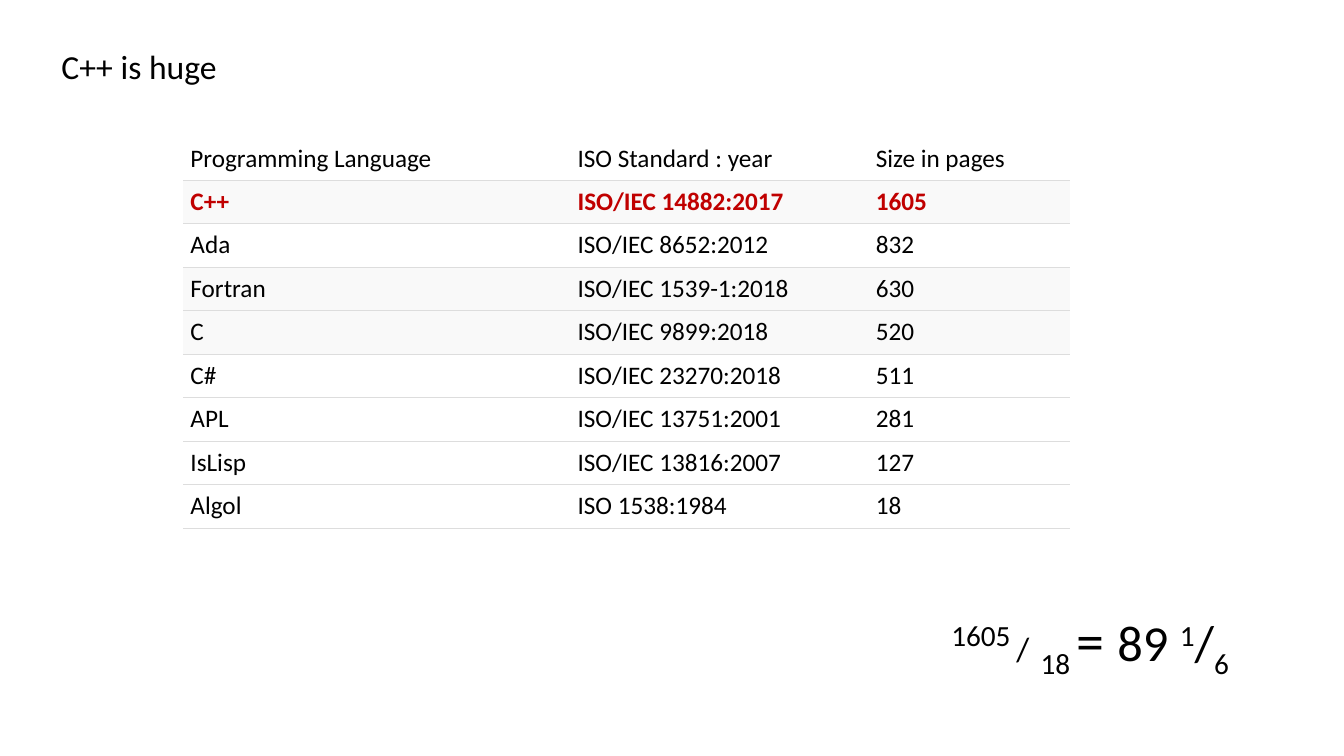
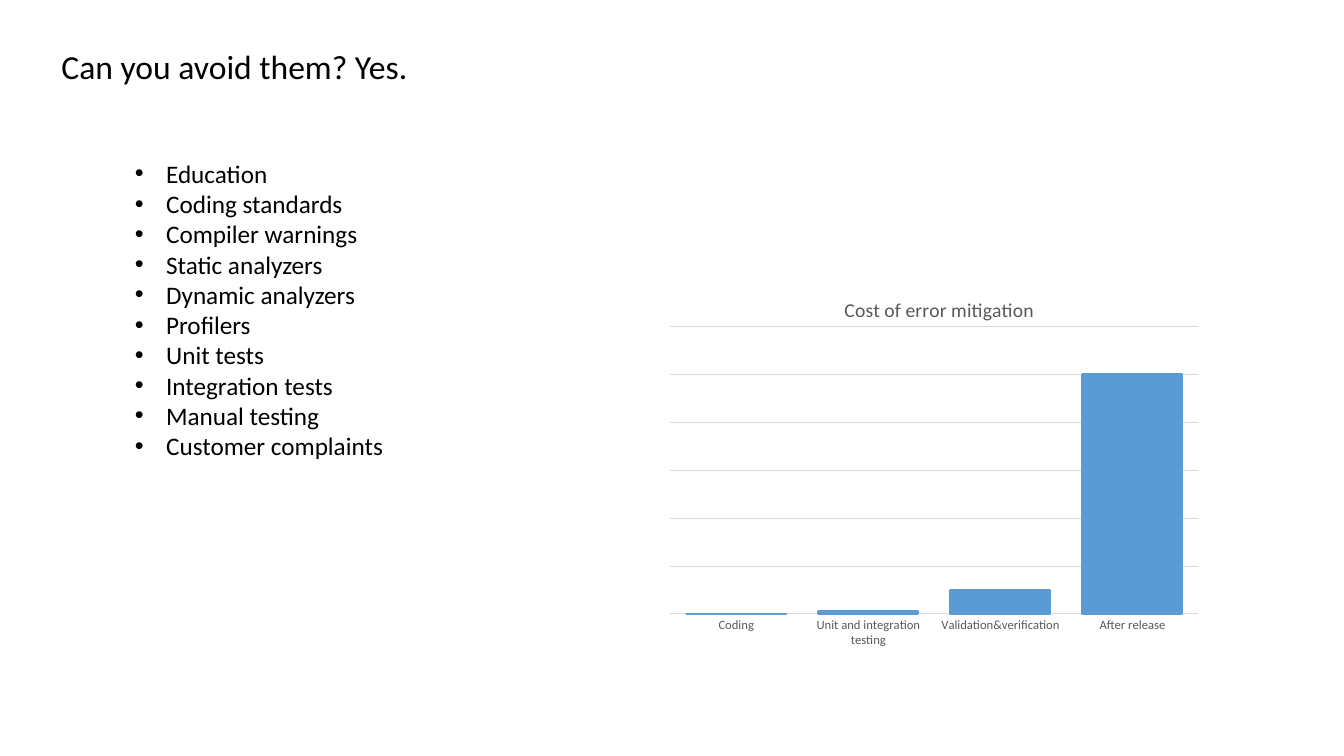
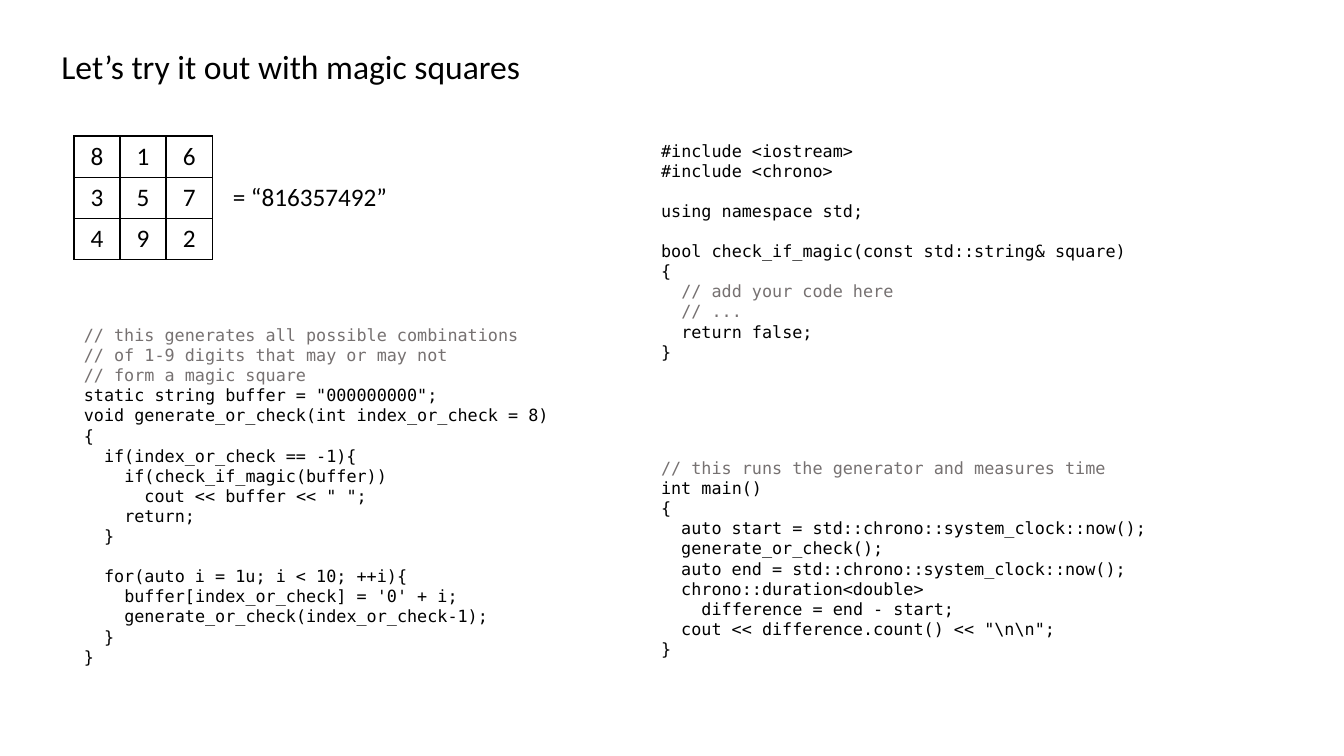
import pptx
import pptx.chart.data
import pptx.dml.color
import pptx.enum.chart
import pptx.enum.text
import pptx.oxml
import pptx.oxml.ns
import pptx.oxml.xmlchemy
import pptx.util

# Shared style
SANS, MONO = "Calibri", "DejaVu Sans Mono"
BLACK, RED, COMMENT = "000000", "C00000", "767171"
RULE, BAND, BLUE = "DDDDDD", "F9F9F9", "5B9BD5"
AXIS_TEXT, GRID = "595959", "D9D9D9"
TITLE_SIZE, BODY_SIZE, CODE_SIZE = 24, 18, 12
CODE_LINE = 14  # points per line of code
SPACE_WIDTH = 7.22  # points per code character

qn = pptx.oxml.ns.qn


def rgb(value):
    return pptx.dml.color.RGBColor.from_string(value)


def add_xml(parent, tag, **attributes):
    element = pptx.oxml.xmlchemy.OxmlElement(tag)
    for key, value in attributes.items():
        element.set(key, str(value))
    parent.append(element)
    return element


def set_font(font, size, color=BLACK, name=SANS, bold=False):
    font.size, font.name, font.bold = pptx.util.Pt(size), name, bold
    font.color.rgb = rgb(color)


def set_line(line, color, width):
    line.color.rgb = rgb(color)
    line.width = pptx.util.Pt(width)


def set_layout(parent, index, **shares):
    """Place a chart part by shares of the chart's size."""
    for old in parent.findall(qn("c:layout")):
        parent.remove(old)
    layout = pptx.oxml.xmlchemy.OxmlElement("c:layout")
    manual = add_xml(layout, "c:manualLayout")
    if "w" in shares:
        add_xml(manual, "c:layoutTarget", val="inner")
    for key in ("x", "y"):
        add_xml(manual, f"c:{key}Mode", val="edge")
    for key, share in shares.items():
        add_xml(manual, f"c:{key}", val=share)
    parent.insert(index, layout)


class Deck:
    """Places elements on a grid of 100 columns by 100 rows."""

    def __init__(self):
        self.show = pptx.Presentation()
        self.show.slide_width = pptx.util.Inches(13.333)
        self.show.slide_height = pptx.util.Inches(7.5)
        self.slide = None

    def col(self, count):
        return round(self.show.slide_width * count / 100)

    def row(self, count):
        return round(self.show.slide_height * count / 100)

    def place(self, x, y, w, h):
        return self.col(x), self.row(y), self.col(w), self.row(h)

    def new_slide(self, title, title_width):
        self.slide = self.show.slides.add_slide(self.show.slide_layouts[6])
        self.text((3.83, 5.47, title_width, 6.67), [title], TITLE_SIZE)

    def frame(self, box, wrap=False):
        frame = self.slide.shapes.add_textbox(*self.place(*box)).text_frame
        frame.word_wrap = wrap
        frame.auto_size = pptx.enum.text.MSO_AUTO_SIZE.SHAPE_TO_FIT_TEXT
        return frame

    def paragraph(self, frame, index):
        return frame.add_paragraph() if index else frame.paragraphs[0]

    def run(self, paragraph, words, size, color=BLACK, name=SANS, bold=False, baseline=0):
        run = paragraph.add_run()
        run.text = words
        set_font(run.font, size, color, name, bold)
        if baseline:
            run._r.get_or_add_rPr().set("baseline", str(baseline * 1000))

    def text(self, box, lines, size=BODY_SIZE, bullet=False):
        frame = self.frame(box)
        for index, words in enumerate(lines):
            paragraph = self.paragraph(frame, index)
            if bullet:
                hang = pptx.util.Inches(0.31)
                props = paragraph._p.get_or_add_pPr()
                props.set("marL", str(hang))
                props.set("indent", str(-hang))
                add_xml(props, "a:buFont", typeface="Arial")
                add_xml(props, "a:buChar", char="•")
            self.run(paragraph, words, size)

    def formula(self, box, pieces):
        paragraph = self.frame(box).paragraphs[0]
        for words, size, baseline in pieces:
            self.run(paragraph, words, size, baseline=baseline)

    def code(self, box, listing):
        """Leading spaces become indents, empty lines become space before."""
        frame, count, gap = self.frame(box, wrap=True), 0, 0
        for line in listing.strip().splitlines():
            words = line.strip()
            if not words:
                gap += CODE_LINE
                continue
            paragraph = self.paragraph(frame, count)
            paragraph.space_before = pptx.util.Pt(gap)
            indent = pptx.util.Pt((len(line) - len(words)) * SPACE_WIDTH)
            paragraph._p.get_or_add_pPr().set("marL", str(indent))
            color = COMMENT if words.startswith("//") else BLACK
            self.run(paragraph, words, CODE_SIZE, color, MONO)
            count, gap = count + 1, 0

    def table(self, x, y, widths, heights, rows, style):
        """style(row number, cell) returns font options and borders by edge."""
        box = self.place(x, y, sum(widths), sum(heights))
        table = self.slide.shapes.add_table(len(rows), len(widths), *box).table
        table.first_row = table.horz_banding = False
        for column, width in zip(table.columns, widths):
            column.width = self.col(width)
        for number, (row, height, values) in enumerate(zip(table.rows, heights, rows)):
            row.height = self.row(height)
            for cell, words in zip(row.cells, values):
                cell.fill.background()
                font, borders = style(number, cell)
                self.run(cell.text_frame.paragraphs[0], words, BODY_SIZE, **font)
                self.borders(cell, borders)

    def borders(self, cell, borders):
        props = cell._tc.get_or_add_tcPr()
        for index, edge in enumerate("LRTB"):
            color, width = borders.get(edge, (None, 0))
            line = add_xml(props, f"a:ln{edge}", w=pptx.util.Pt(width))
            if color:
                add_xml(add_xml(line, "a:solidFill"), "a:srgbClr", val=color)
            else:
                add_xml(line, "a:noFill")
            props.insert(index, line)

    def column_chart(self, box, title, costs):
        data = pptx.chart.data.CategoryChartData()
        data.categories = list(costs)
        data.add_series("Series 1", list(costs.values()))
        kind = pptx.enum.chart.XL_CHART_TYPE.COLUMN_CLUSTERED
        chart = self.slide.shapes.add_chart(kind, *self.place(*box), data).chart
        chart.has_legend = False
        set_font(chart.font, 10)

        heading = chart.chart_title
        self.run(heading.text_frame.paragraphs[0], title, 14, AXIS_TEXT)
        heading.include_in_layout = False
        set_layout(heading._element, 1, x=0.33, y=0.05)
        plot_area = chart._chartSpace.find(".//" + qn("c:plotArea"))
        set_layout(plot_area, 0, x=0.02, y=0.14, w=0.96, h=0.75)

        stages, scale = chart.category_axis, chart.value_axis
        stages.major_tick_mark = pptx.enum.chart.XL_TICK_MARK.NONE
        set_font(stages.tick_labels.font, 9, AXIS_TEXT)
        set_line(stages.format.line, GRID, 0.75)
        scale.visible = False
        scale.minimum_scale, scale.maximum_scale, scale.major_unit = 0, 120, 20
        set_line(scale.major_gridlines.format.line, GRID, 0.75)

        plot = chart.plots[0]
        plot.gap_width, plot.overlap, plot.vary_by_categories = 33, -27, False
        bars = plot.series[0].format
        bars.fill.solid()
        bars.fill.fore_color.rgb = rgb(BLUE)
        set_line(bars.line, BLUE, 2)


deck = Deck()

# Slide 1: sizes of language standards
deck.new_slide("C++ is huge", 13.2)
standards = [
    ("Programming Language", "ISO Standard : year", "Size in pages"),
    ("C++", "ISO/IEC 14882:2017", "1605"),
    ("Ada", "ISO/IEC 8652:2012", "832"),
    ("Fortran", "ISO/IEC 1539-1:2018", "630"),
    ("C", "ISO/IEC 9899:2018", "520"),
    ("C#", "ISO/IEC 23270:2018", "511"),
    ("APL", "ISO/IEC 13751:2001", "281"),
    ("IsLisp", "ISO/IEC 13816:2007", "127"),
    ("Algol", "ISO 1538:1984", "18"),
]


def standard_style(number, cell):
    cell.margin_left = cell.margin_right = pptx.util.Inches(0.07)
    cell.margin_top = cell.margin_bottom = pptx.util.Inches(0.06)
    if number in (1, 3, 4):
        cell.fill.solid()
        cell.fill.fore_color.rgb = rgb(BAND)
    borders = {"B": (RULE, 0.75)}
    if number == 0:
        cell.vertical_anchor = pptx.enum.text.MSO_ANCHOR.BOTTOM
        borders["B"] = (RULE, 1.5)
    else:
        borders["T"] = (RULE, 1.5 if number == 1 else 0.75)
    return ({"color": RED, "bold": True} if number == 1 else {}), borders


deck.table(13.65, 15.2, [28.8, 22.2, 15], [8.67] + [5.75] * 8, standards, standard_style)
deck.formula((70.05, 79.47, 24, 10.27), [
    ("1605", 36, 30), (" ", 18, 0), ("/", 24, 0), (" ", 36, 0), ("18 ", 36, -25),
    ("= ", 40, 0), ("89 ", 36, 0), ("1", 36, 30), ("/", 36, 0), ("6", 36, -25),
])

# Slide 2: ways to avoid errors and their cost
deck.new_slide("Can you avoid them? Yes.", 27.53)
deck.text((9.3, 20.27, 20.18, 41.73), [
    "Education", "Coding standards", "Compiler warnings", "Static analyzers",
    "Dynamic analyzers", "Profilers", "Unit tests", "Integration tests",
    "Manual testing", "Customer complaints",
], bullet=True)
deck.column_chart((49.05, 36.13, 40.95, 50.67), "Cost of error mitigation", {
    "Coding": 0, "Unit and integration testing": 1,
    "Validation&verification": 10, "After release": 100,
})

# Slide 3: magic squares
deck.new_slide("Let’s try it out with magic squares", 35.93)


def square_style(number, cell):
    cell.text_frame.paragraphs[0].alignment = pptx.enum.text.PP_ALIGN.CENTER
    return {}, dict.fromkeys("LRTB", (BLACK, 1))


LEFT, RIGHT, TOP = 5.5, 48.45, 18
deck.table(LEFT, TOP, [3.43] * 3, [5.43] * 3, ["816", "357", "492"], square_style)

deck.code((RIGHT, TOP, 42.3, 30.93), """
#include <iostream>
#include <chrono>

using namespace std;

bool check_if_magic(const std::string& square)
{
  // add your code here
  // ...
  return false;
}
""")
deck.code((LEFT, 42.27, 40.7, 47.07), """
// this generates all possible combinations
// of 1-9 digits that may or may not
// form a magic square
static string buffer = "000000000";
void generate_or_check(int index_or_check = 8)
{
  if(index_or_check == -1){
    if(check_if_magic(buffer))
      cout << buffer << " ";
    return;
  }

  for(auto i = 1u; i < 10; ++i){
    buffer[index_or_check] = '0' + i;
    generate_or_check(index_or_check-1);
  }
}
""")
deck.code((RIGHT, 59.87, 40.6, 28.27), r"""
// this runs the generator and measures time
int main()
{
  auto start = std::chrono::system_clock::now();
  generate_or_check();
  auto end = std::chrono::system_clock::now();
  chrono::duration<double>
    difference = end - start;
  cout << difference.count() << "\n\n";
}
""")
deck.text((16.58, 23.33, 13.13, 5.33), ["= “816357492”"])

deck.show.save("out.pptx")
